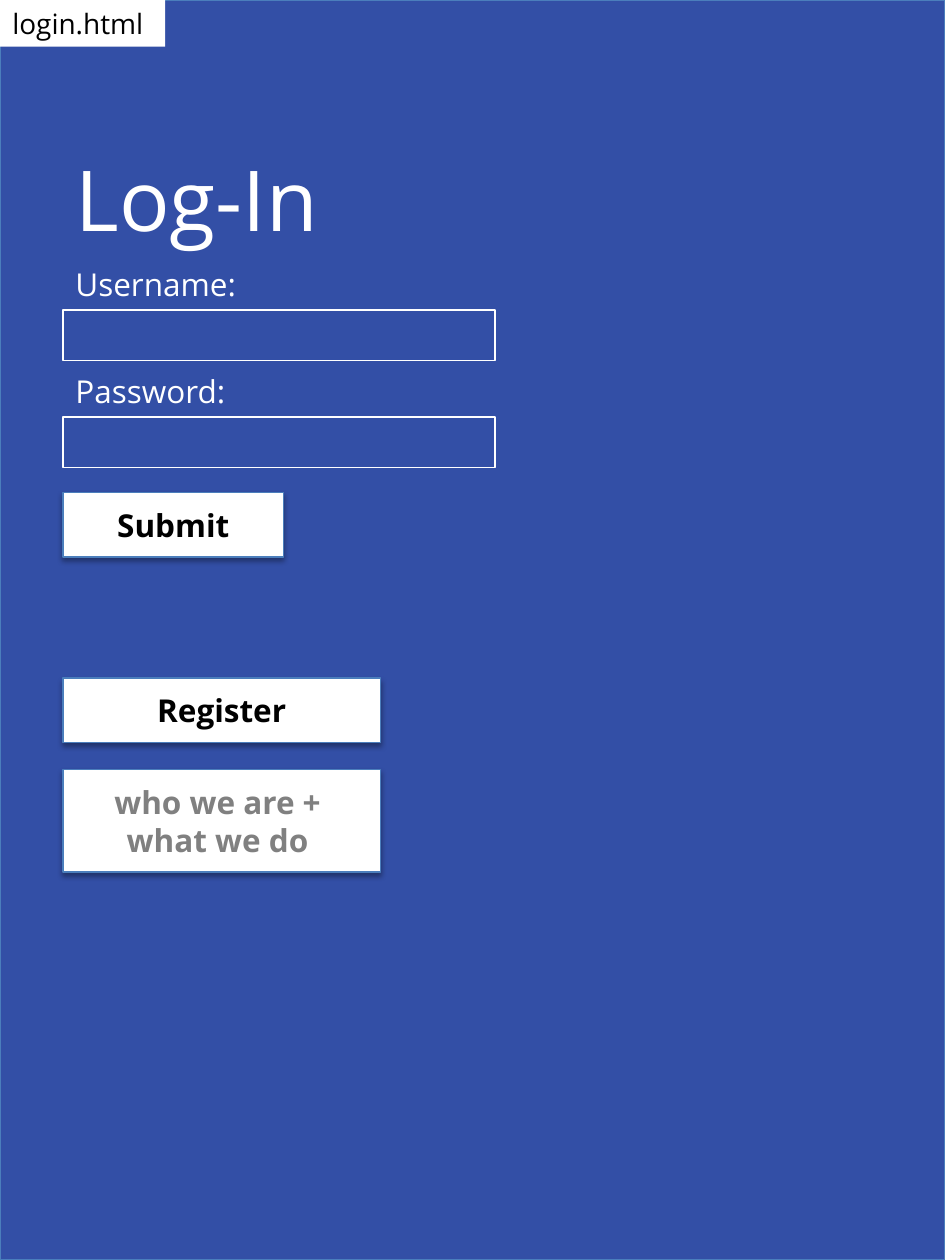
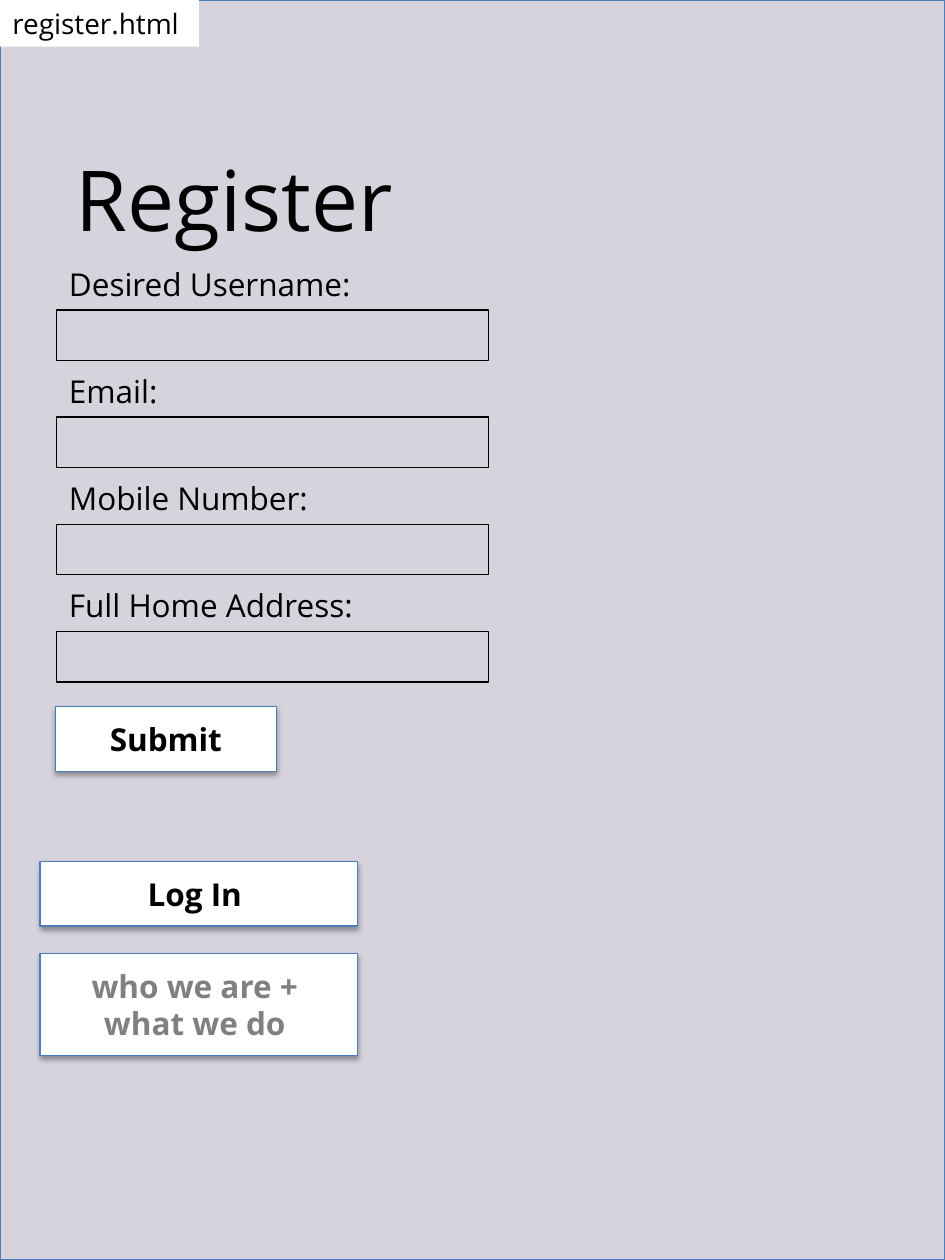
from dataclasses import dataclass

import lxml.etree
import pptx
import pptx.dml.color
import pptx.enum.shapes
import pptx.enum.text
import pptx.oxml.ns
import pptx.shapes.autoshape
import pptx.slide
import pptx.text.text
import pptx.util

Cm = pptx.util.Cm
Pt = pptx.util.Pt
Align = pptx.enum.text.PP_ALIGN
Anchor = pptx.enum.text.MSO_ANCHOR


@dataclass(frozen=True)
class Theme:
    font: str = "Open Sans"
    white: str = "FFFFFF"
    black: str = "000000"
    grey: str = "808080"
    blue: str = "334FA6"
    lilac: str = "D7D3DD"
    edge: str = "4B7EBC"
    title_size: int = 48
    body_size: int = 18
    tab_size: int = 16
    line_width: float = 0.75


@dataclass(frozen=True)
class Area:
    """A place on the page, in centimetres."""
    left: float
    top: float
    width: float
    height: float


@dataclass(frozen=True)
class TextStyle:
    size: int
    color: str
    bold: bool = False
    align: Align = Align.LEFT
    anchor: Anchor = Anchor.TOP
    grow: bool = True


@dataclass(frozen=True)
class FormPage:
    """One form screen: its file name, colours, fields and buttons."""
    file_name: str
    tab_width: float
    heading: str
    background: str
    ink: str
    fields: tuple[str, ...]
    field_left: float
    submit_left: float
    link: str
    link_left: float
    link_top: float


THEME = Theme()
PAGE = Area(0, 0, 19.05, 25.4)
TITLE = Area(1.27, 2.84, 9.45, 2.31)

# Form grid
FIELD_TOP = 5.21
FIELD_PITCH = 2.16
FIELD_WIDTH = 8.71
FIELD_HEIGHT = 1.02
INPUT_OFFSET = 1.04
SUBMIT_GAP = 0.5

# Buttons
TAB_HEIGHT = 0.94
SUBMIT_WIDTH = 4.45
LINK_WIDTH = 6.4
BUTTON_HEIGHT = 1.3
ABOUT_HEIGHT = 2.06
LINK_GAP = 0.55
ABOUT_LINES = ("who we are + ", "what we do ")

FORM_PAGES = (
    FormPage("login.html", 3.33, "Log-In ", THEME.blue, THEME.white,
             ("Username:", "Password:"), 1.27, 1.27,
             "Register", 1.27, 13.67),
    FormPage("register.html", 4.01, "Register", THEME.lilac, THEME.black,
             ("Desired Username:", "Email:", "Mobile Number:",
              "Full Home Address:"), 1.14, 1.12,
             "Log In ", 0.81, 17.37),
)


def rgb(color: str) -> pptx.dml.color.RGBColor:
    return pptx.dml.color.RGBColor.from_string(color)


def lengths(area: Area) -> tuple[pptx.util.Length, ...]:
    return Cm(area.left), Cm(area.top), Cm(area.width), Cm(area.height)


def write(frame: pptx.text.text.TextFrame, lines: tuple[str, ...],
          style: TextStyle) -> None:
    """Fill a text frame, one paragraph and run for each line."""
    frame.word_wrap = True
    frame.vertical_anchor = style.anchor
    auto = pptx.enum.text.MSO_AUTO_SIZE
    frame.auto_size = auto.SHAPE_TO_FIT_TEXT if style.grow else auto.NONE
    for index, line in enumerate(lines):
        para = frame.add_paragraph() if index else frame.paragraphs[0]
        para.alignment = style.align
        span = para.add_run()
        span.text = line
        span.font.name = THEME.font
        span.font.size = Pt(style.size)
        span.font.bold = style.bold
        span.font.color.rgb = rgb(style.color)


def add_shadow(box: pptx.shapes.autoshape.Shape) -> None:
    """Cast a soft black shadow straight down."""
    qn = pptx.oxml.ns.qn
    effects = box.element.spPr.find(qn("a:effectLst"))
    shadow = lxml.etree.SubElement(
        effects, qn("a:outerShdw"), blurRad=str(Pt(3.1)), dist=str(Pt(1.8)),
        dir="5400000", rotWithShape="0")
    color = lxml.etree.SubElement(shadow, qn("a:srgbClr"), val=THEME.black)
    lxml.etree.SubElement(color, qn("a:alpha"), val="35000")


def add_box(page: pptx.slide.Slide, area: Area, fill: str | None = None,
            line: str | None = None,
            shadow: bool = False) -> pptx.shapes.autoshape.Shape:
    box = page.shapes.add_shape(
        pptx.enum.shapes.MSO_SHAPE.RECTANGLE, *lengths(area))
    box.shadow.inherit = False
    if fill:
        box.fill.solid()
        box.fill.fore_color.rgb = rgb(fill)
    else:
        box.fill.background()
    if line:
        box.line.color.rgb = rgb(line)
        box.line.width = Pt(THEME.line_width)
    else:
        box.line.fill.background()
    if shadow:
        add_shadow(box)
    return box


def add_button(page: pptx.slide.Slide, area: Area, lines: tuple[str, ...],
               color: str = THEME.black) -> None:
    box = add_box(page, area, THEME.white, THEME.edge, shadow=True)
    write(box.text_frame, lines,
          TextStyle(THEME.body_size, color, True, Align.CENTER,
                    Anchor.MIDDLE, grow=False))


def add_field(page: pptx.slide.Slide, label: str, left: float, top: float,
              ink: str) -> None:
    """A label with an empty input below it."""
    label_area = Area(left, top, FIELD_WIDTH, FIELD_HEIGHT)
    box = page.shapes.add_textbox(*lengths(label_area))
    write(box.text_frame, (label,), TextStyle(THEME.body_size, ink))
    add_box(page, Area(left, top + INPUT_OFFSET, FIELD_WIDTH, FIELD_HEIGHT),
            line=ink)


def add_form_page(deck: pptx.presentation.Presentation,
                  form: FormPage) -> None:
    page = deck.slides.add_slide(deck.slide_layouts.get_by_name("Title Only"))

    # Coloured panel, placed behind the title
    title = page.shapes.title
    panel = add_box(page, PAGE, form.background, THEME.edge, shadow=True)
    title.element.addprevious(panel.element)

    # Title
    title.left, title.top, title.width, title.height = lengths(TITLE)
    write(title.text_frame, (form.heading,),
          TextStyle(THEME.title_size, form.ink))

    # Fields
    for index, label in enumerate(form.fields):
        add_field(page, label, form.field_left,
                  FIELD_TOP + index * FIELD_PITCH, form.ink)

    # File name tab
    tab = add_box(page, Area(0, 0, form.tab_width, TAB_HEIGHT), THEME.white)
    write(tab.text_frame, (form.file_name,),
          TextStyle(THEME.tab_size, THEME.black))

    # Buttons
    last_input = (FIELD_TOP + (len(form.fields) - 1) * FIELD_PITCH
                  + INPUT_OFFSET)
    submit_top = last_input + FIELD_HEIGHT + SUBMIT_GAP
    about_top = form.link_top + BUTTON_HEIGHT + LINK_GAP
    add_button(page, Area(form.submit_left, submit_top, SUBMIT_WIDTH,
                          BUTTON_HEIGHT), ("Submit",))
    add_button(page, Area(form.link_left, form.link_top, LINK_WIDTH,
                          BUTTON_HEIGHT), (form.link,))
    add_button(page, Area(form.link_left, about_top, LINK_WIDTH,
                          ABOUT_HEIGHT), ABOUT_LINES, THEME.grey)


deck = pptx.Presentation()
deck.slide_width, deck.slide_height = Cm(PAGE.width), Cm(PAGE.height)
for form_page in FORM_PAGES:
    add_form_page(deck, form_page)
deck.save("out.pptx")
